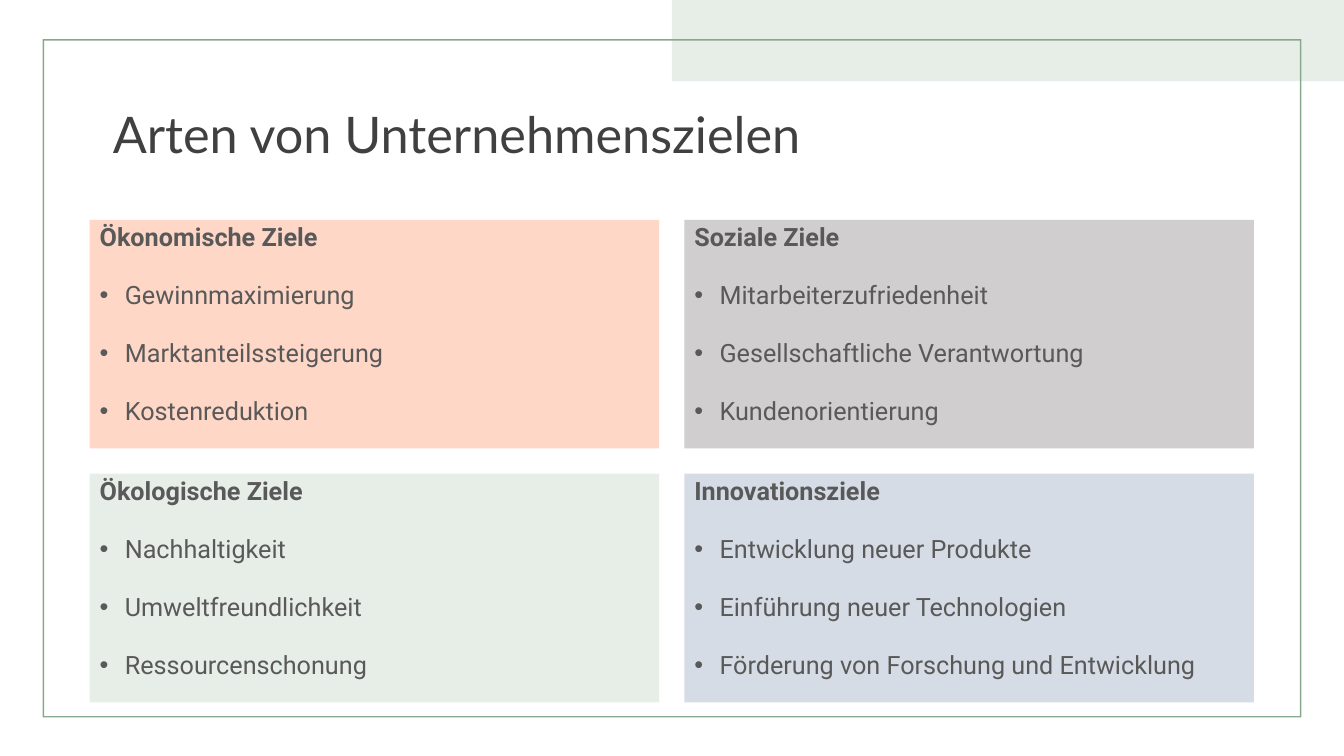
from lxml.etree import SubElement
from pptx import Presentation
from pptx.dml.color import RGBColor
from pptx.enum.shapes import MSO_SHAPE
from pptx.enum.text import MSO_ANCHOR, MSO_AUTO_SIZE, PP_ALIGN
from pptx.oxml.ns import qn
from pptx.util import Pt

GOALS = [
    ("Ökonomische Ziele", "FFD7C7",
     ["Gewinnmaximierung", "Marktanteilssteigerung", "Kostenreduktion"]),
    ("Soziale Ziele", "D0CECE",
     ["Mitarbeiterzufriedenheit", "Gesellschaftliche Verantwortung",
      "Kundenorientierung"]),
    ("Ökologische Ziele", "E7EEE8",
     ["Nachhaltigkeit", "Umweltfreundlichkeit", "Ressourcenschonung"]),
    ("Innovationsziele", "D6DCE5",
     ["Entwicklung neuer Produkte", "Einführung neuer Technologien",
      "Förderung von Forschung und Entwicklung"]),
]
CARD_LEFT, CARD_TOP = 64.1, 157
CARD_WIDTH, CARD_HEIGHT = 406.8, 163.4
COLUMN_GAP, ROW_GAP = 18, 18


def color(hex_value):
    return RGBColor.from_string(hex_value)


class GoalSlide:
    title_font, body_font = "Lato", "Roboto"
    title_color, body_color = "404040", "595959"

    def __init__(self, presentation):
        self.slide = presentation.slides.add_slide(presentation.slide_layouts[5])

    def block(self, left, top, width, height, fill, preset=MSO_SHAPE.RECTANGLE):
        block = self.slide.shapes.add_shape(
            preset, Pt(left), Pt(top), Pt(width), Pt(height))
        block.shadow.inherit = False
        block.fill.solid()
        block.fill.fore_color.rgb = color(fill)
        block.line.fill.background()
        return block

    def style(self, paragraph, font_name, size, hex_value, bold=False):
        paragraph.alignment = PP_ALIGN.LEFT
        paragraph.line_spacing = 0.9
        font = paragraph.font
        font.name, font.size, font.bold = font_name, Pt(size), bold
        font.color.rgb = color(hex_value)

    def title(self, text, left, top, width, height):
        title = self.slide.shapes.title
        title.left, title.top = Pt(left), Pt(top)
        title.width, title.height = Pt(width), Pt(height)
        frame = title.text_frame
        frame.text = text
        frame.word_wrap = True
        frame.auto_size = MSO_AUTO_SIZE.NONE
        frame.vertical_anchor = MSO_ANCHOR.MIDDLE
        self.style(frame.paragraphs[0], self.title_font, 36, self.title_color)

    def bullet(self, paragraph):
        properties = paragraph._p.get_or_add_pPr()
        properties.set("marL", str(Pt(18)))
        properties.set("indent", str(-Pt(18)))
        # Bullet elements must come before the default run properties.
        bullet_font = SubElement(properties, qn("a:buFont"), typeface="Arial")
        bullet_char = SubElement(properties, qn("a:buChar"), char="•")
        defaults = properties.find(qn("a:defRPr"))
        if defaults is not None:
            defaults.addprevious(bullet_font)
            defaults.addprevious(bullet_char)

    def card(self, left, top, heading, fill, goals):
        frame = self.block(left, top, CARD_WIDTH, CARD_HEIGHT, fill).text_frame
        frame.word_wrap = True
        frame.vertical_anchor = MSO_ANCHOR.TOP
        frame.text = "\n".join([heading, *goals])
        for index, paragraph in enumerate(frame.paragraphs):
            self.style(paragraph, self.body_font, 18, self.body_color, index == 0)
            paragraph.space_before, paragraph.space_after = Pt(10), Pt(12)
            if index:
                self.bullet(paragraph)


def main():
    presentation = Presentation()
    presentation.slide_width, presentation.slide_height = Pt(960), Pt(540)
    page = GoalSlide(presentation)
    page.block(480, 0, 480, 58, "E7EEE8")
    border = page.block(30.5, 28, 899, 484.5, "88A88E", MSO_SHAPE.FRAME)
    border.adjustments[0] = 0.002
    page.title("Arten von Unternehmenszielen", 73.4, 38.2, 828, 120.2)
    for index, (heading, fill, goals) in enumerate(GOALS):
        row, column = divmod(index, 2)
        page.card(CARD_LEFT + column * (CARD_WIDTH + COLUMN_GAP),
                  CARD_TOP + row * (CARD_HEIGHT + ROW_GAP), heading, fill, goals)
    presentation.save("out.pptx")


if __name__ == "__main__":
    main()
